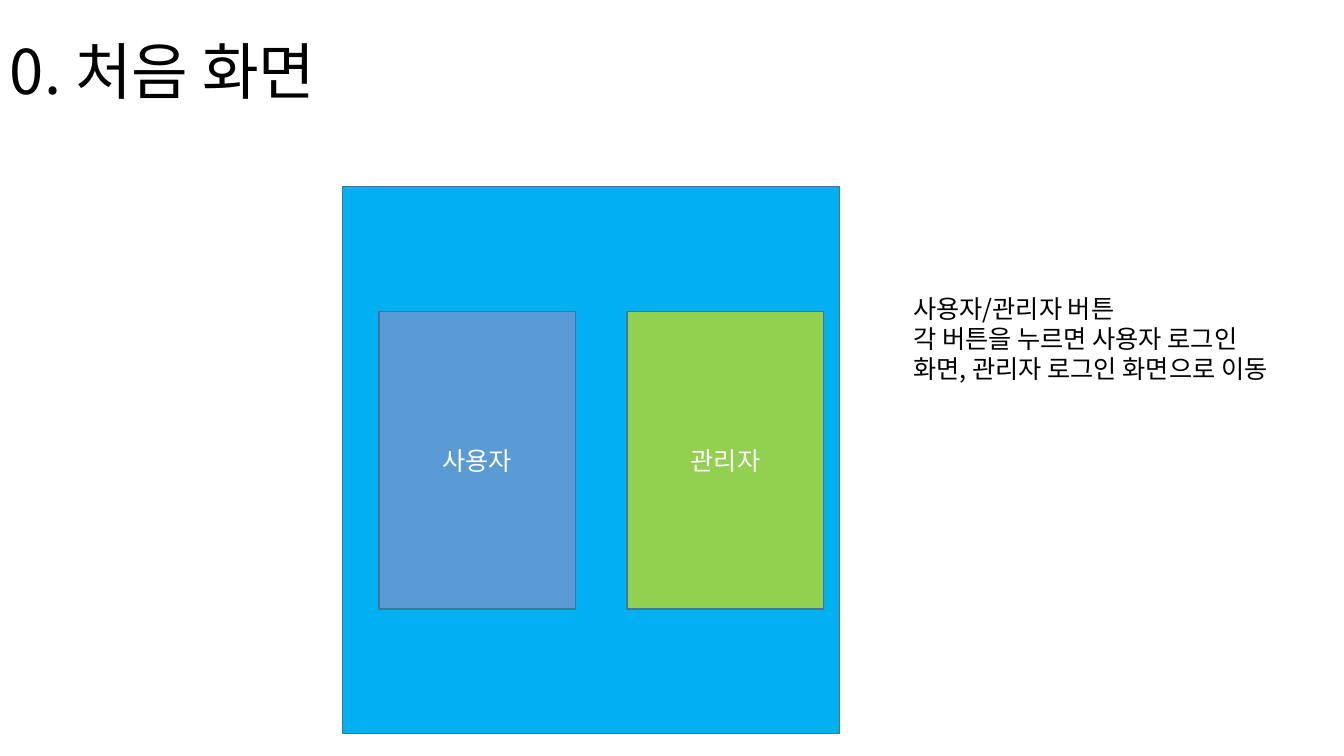
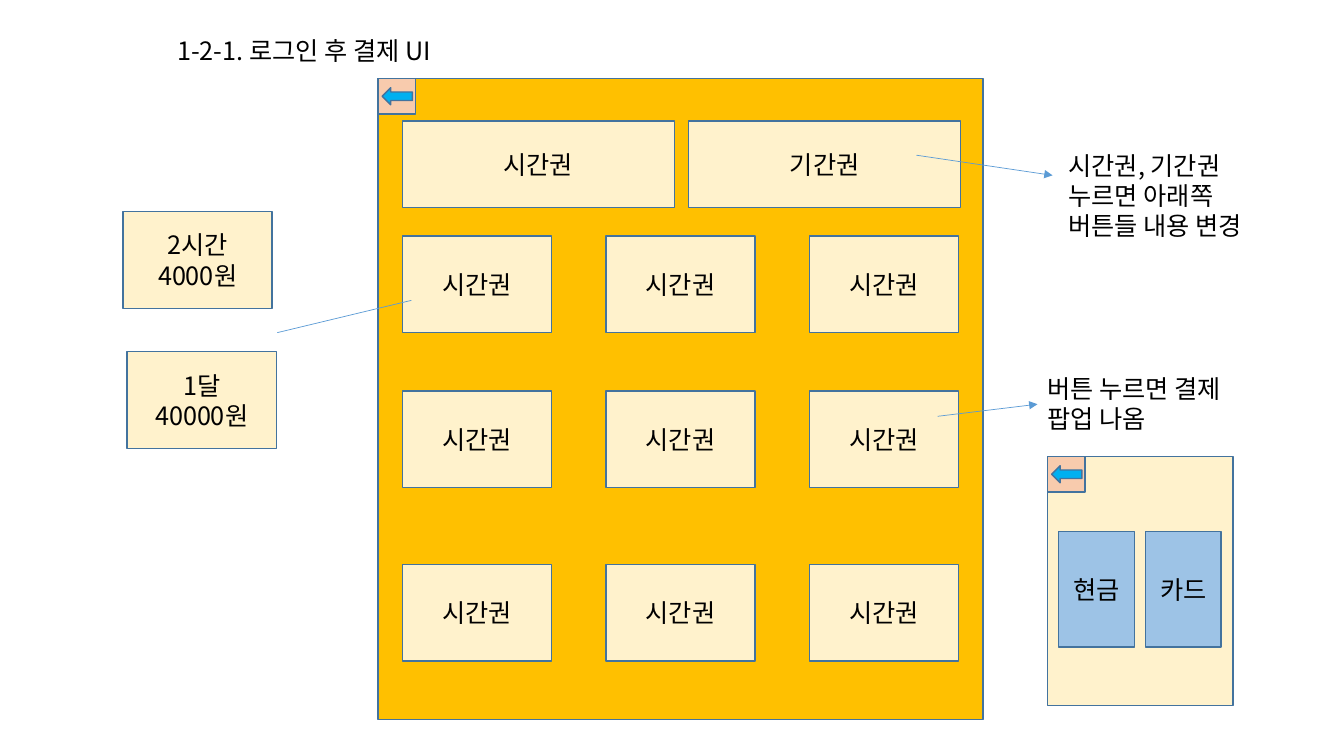
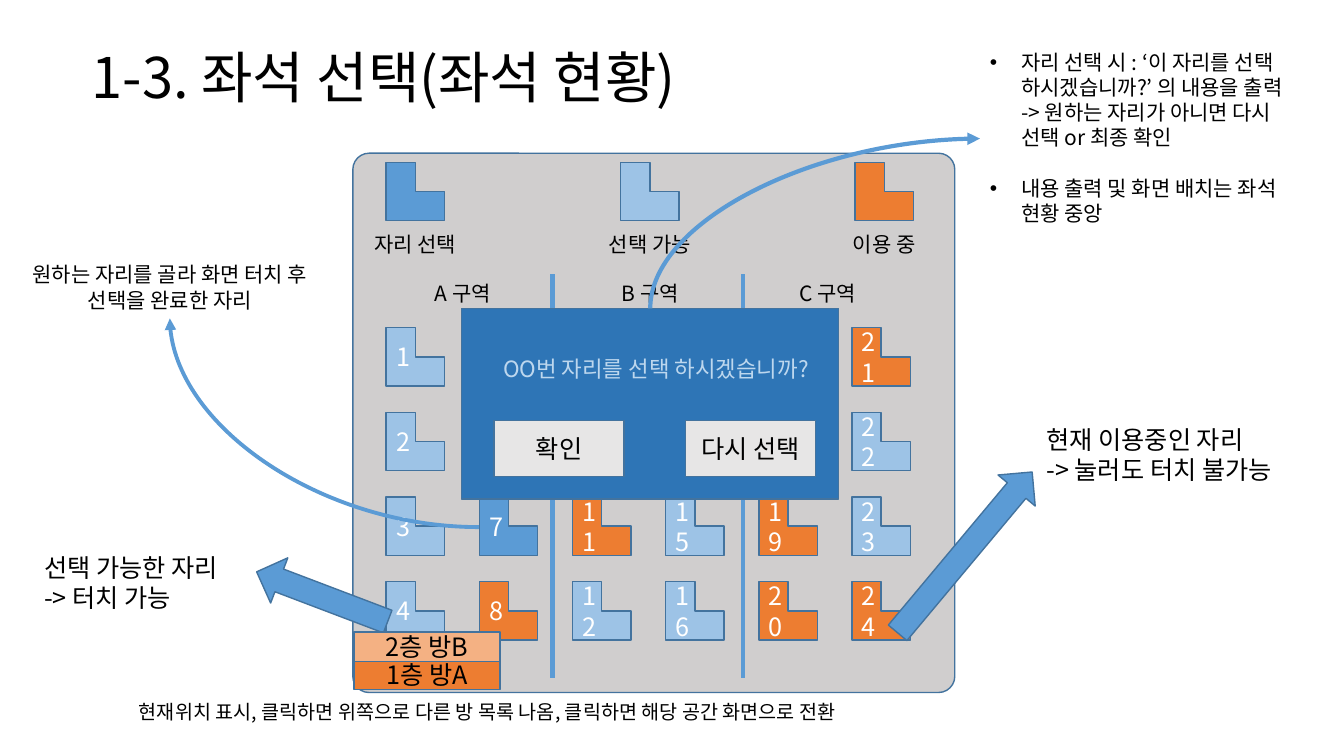
from lxml import etree
from pptx import Presentation
from pptx.dml.color import RGBColor
from pptx.enum.shapes import MSO_CONNECTOR, MSO_SHAPE
from pptx.enum.text import MSO_ANCHOR, PP_ALIGN
from pptx.oxml.ns import qn
from pptx.util import Inches, Pt

RECT, ROUNDED = MSO_SHAPE.RECTANGLE, MSO_SHAPE.ROUNDED_RECTANGLE
SEAT, LEFT_ARROW = MSO_SHAPE.CORNER, MSO_SHAPE.LEFT_ARROW
STRAIGHT, CURVE = MSO_CONNECTOR.STRAIGHT, MSO_CONNECTOR.CURVE
LEFT, CENTER = PP_ALIGN.LEFT, PP_ALIGN.CENTER
TOP, MIDDLE = MSO_ANCHOR.TOP, MSO_ANCHOR.MIDDLE
TOP_SITE, LEFT_SITE, BOTTOM_SITE = 0, 1, 2

FONT = "Noto Sans CJK KR"
BLACK = RGBColor(0x00, 0x00, 0x00)
WHITE = RGBColor(0xFF, 0xFF, 0xFF)
OUTLINE = RGBColor(0x43, 0x73, 0x9E)
BLUE = RGBColor(0x5B, 0x9B, 0xD5)
LIGHT_BLUE = RGBColor(0x9D, 0xC3, 0xE6)
PALE_BLUE = RGBColor(0xBD, 0xD7, 0xEE)
DEEP_BLUE = RGBColor(0x2E, 0x75, 0xB6)
SKY = RGBColor(0x00, 0xB0, 0xF0)
GREEN = RGBColor(0x92, 0xD0, 0x50)
AMBER = RGBColor(0xFF, 0xC0, 0x00)
CREAM = RGBColor(0xFF, 0xF2, 0xCC)
PEACH = RGBColor(0xF8, 0xCB, 0xAD)
ORANGE = RGBColor(0xED, 0x7D, 0x31)
LIGHT_ORANGE = RGBColor(0xF4, 0xB1, 0x83)
GRAY = RGBColor(0xD0, 0xCE, 0xCE)
LIGHT_GRAY = RGBColor(0xE7, 0xE6, 0xE6)

SEAT_SIZE = 0.58
SEAT_LEFT, SEAT_TOP = 3.83, 3.25
SEAT_COLUMN_STEP = (8.45 - SEAT_LEFT) / 5
SEAT_ROW_STEP = 0.84
SEATS_PER_COLUMN = 4
FREE_SEATS = (1, 2, 3, 4, 12, 15, 16, 22, 23)
CHOSEN_SEATS = (7,)
BUSY_SEATS = (8, 11, 19, 20, 21, 24)


def write(frame, text, size, color, align, anchor, spacing=None):
    """Fill a text frame, one paragraph per line of text."""
    frame.word_wrap = True
    frame.vertical_anchor = anchor
    for index, line in enumerate(text.split("\n")):
        paragraph = frame.add_paragraph() if index else frame.paragraphs[0]
        paragraph.text = line
        paragraph.alignment = align
        if spacing:
            paragraph.line_spacing = spacing
        font = paragraph.font
        font.size = Pt(size)
        font.color.rgb = color
        font.name = FONT
        latin = paragraph._p.pPr.find(qn("a:defRPr")).find(qn("a:latin"))
        east_asian = etree.Element(qn("a:ea"), typeface=FONT)
        latin.addnext(east_asian)


def add_text(slide, box, text, size=18, color=BLACK, align=LEFT, anchor=TOP,
             spacing=None):
    """Add a wrapping text box; box is left, top, width, height."""
    note = slide.shapes.add_textbox(*map(Inches, box))
    write(note.text_frame, text, size, color, align, anchor, spacing)
    return note


def add_title(slide, left, top, text, size):
    """Add the large slide title."""
    add_text(slide, (left, top, 11.5, 1.45), text, size, anchor=MIDDLE,
             spacing=0.9)


def add_label(slide, box, text):
    """Add a small centred caption."""
    add_text(slide, box, text, 15, align=CENTER, anchor=MIDDLE, spacing=0.9)


def add_block(slide, box, fill, text="", color=BLACK, kind=RECT, rotation=0):
    """Add an outlined, filled shape with optional centred text."""
    block = slide.shapes.add_shape(kind, *map(Inches, box))
    block.shadow.inherit = False
    block.fill.solid()
    block.fill.fore_color.rgb = fill
    block.line.color.rgb = OUTLINE
    block.line.width = Pt(1)
    block.rotation = rotation
    if text:
        write(block.text_frame, text, 18, color, CENTER, MIDDLE)
    return block


def add_line(slide, start, end, width, arrow=None, kind=STRAIGHT):
    """Add a blue line; arrow is headEnd, tailEnd or None."""
    line = slide.shapes.add_connector(kind, *map(Inches, start + end))
    line.line.color.rgb = BLUE
    line.line.width = Pt(width)
    properties = line._element.spPr
    if kind == CURVE:
        properties.find(qn("a:prstGeom")).set("prst", "curvedConnector2")
    if arrow:
        etree.SubElement(properties.find(qn("a:ln")), qn("a:" + arrow),
                         type="triangle")
    etree.SubElement(properties, qn("a:effectLst"))
    return line


def add_bullets(note):
    """Give each paragraph a hanging bullet and a gap between items."""
    for index, paragraph in enumerate(note.text_frame.paragraphs):
        if index:
            paragraph.space_before = Pt(18)
        properties = paragraph._p.get_or_add_pPr()
        properties.set("marL", str(Inches(0.31)))
        properties.set("indent", str(Inches(-0.31)))
        bullet_font = etree.Element(qn("a:buFont"), typeface="Arial")
        bullet = etree.Element(qn("a:buChar"), char="•")
        properties.find(qn("a:defRPr")).addprevious(bullet_font)
        bullet_font.addnext(bullet)


def add_back_button(slide, left, top):
    """Add the back button in a screen's top left corner."""
    add_block(slide, (left, top, 0.37, 0.35), PEACH)
    add_block(slide, (left + 0.04, top + 0.09, 0.3, 0.17), SKY,
              kind=LEFT_ARROW)


def add_seat(slide, number, fill):
    """Add a numbered seat; numbers run down each column."""
    column, row = divmod(number - 1, SEATS_PER_COLUMN)
    add_block(slide, (SEAT_LEFT + column * SEAT_COLUMN_STEP,
                      SEAT_TOP + row * SEAT_ROW_STEP, SEAT_SIZE, SEAT_SIZE),
              fill, str(number), WHITE, SEAT)


def build_start(slide):
    """First screen: user or administrator."""
    add_title(slide, 0, 0.01, "0. 처음 화면", 44)
    add_block(slide, (3.4, 1.85, 4.93, 5.43), SKY)
    for left, fill, role in ((3.76, BLUE, "사용자"), (6.22, GREEN, "관리자")):
        add_block(slide, (left, 3.09, 1.95, 2.95), fill, role, WHITE)
    add_text(slide, (8.96, 2.86, 3.72, 1.31),
             "사용자/관리자 버튼\n"
             "각 버튼을 누르면 사용자 로그인 화면, 관리자 로그인 화면으로 이동")


def build_payment(slide):
    """Payment screen: ticket buttons and the payment popup."""
    add_block(slide, (3.75, 0.78, 6, 6.36), AMBER)
    add_text(slide, (1.66, 0.3, 3.63, 0.4), "1-2-1. 로그인 후 결제 UI")
    for top in (2.34, 3.88, 5.6):
        for column in range(3):
            add_block(slide, (3.99 + 2.02 * column, top, 1.48, 0.96), CREAM,
                      "시간권")
    for left, ticket in ((3.99, "시간권"), (6.83, "기간권")):
        add_block(slide, (left, 1.2, 2.7, 0.86), CREAM, ticket)

    add_line(slide, (9.09, 1.54), (10.44, 1.74), 0.5, "tailEnd")
    add_text(slide, (10.5, 1.44, 1.96, 1.31),
             "시간권, 기간권 누르면 아래쪽 버튼들 내용 변경")
    add_line(slide, (9.3, 4.13), (10.29, 4.01), 0.5, "tailEnd")
    add_text(slide, (10.29, 3.65, 2.05, 0.71), "버튼 누르면 결제 팝업 나옴")

    add_block(slide, (10.39, 4.53, 1.84, 2.47), CREAM)
    for left, method in ((10.5, "현금"), (11.36, "카드")):
        add_block(slide, (left, 5.27, 0.75, 1.15), LIGHT_BLUE, method)

    add_line(slide, (4.08, 2.98), (2.75, 3.3), 0.5)
    for left, top, price in ((1.22, 2.1, "2시간\n4000원"),
                             (1.26, 3.49, "1달\n40000원")):
        add_block(slide, (left, top, 1.48, 0.96), CREAM, price)
    add_back_button(slide, 3.75, 0.78)
    add_back_button(slide, 10.39, 4.53)


def add_seat_map(slide):
    """Add the seat panel with its legend, zones and seats."""
    panel = add_block(slide, (3.5, 1.52, 5.97, 5.35), GRAY, kind=ROUNDED)
    panel.adjustments[0] = 0.03
    legend = (("자리 선택", BLUE), ("선택 가능", LIGHT_BLUE), ("이용 중", ORANGE))
    for index, (state, fill) in enumerate(legend):
        left = SEAT_LEFT + index * (8.48 - SEAT_LEFT) / 2
        add_block(slide, (left, 1.61, SEAT_SIZE, SEAT_SIZE), fill, kind=SEAT)
        add_label(slide, (left - 0.46, 2.23, 1.5, 0.41), state)
    for seats, fill in ((FREE_SEATS, LIGHT_BLUE), (CHOSEN_SEATS, BLUE),
                        (BUSY_SEATS, ORANGE)):
        for number in seats:
            add_seat(slide, number, fill)
    for left, zone in ((4.07, "A"), (5.93, "B"), (7.69, "C")):
        add_label(slide, (left, 2.72, 1.04, 0.41), f"{zone} 구역")
    for divider in (5.48, 7.37):
        add_line(slide, (divider, 2.72), (divider, 6.73), 3)


def add_confirm_popup(slide):
    """Add the seat confirmation popup and return its panel."""
    popup = add_block(slide, (4.58, 3.06, 3.74, 1.89), DEEP_BLUE)
    add_text(slide, (4.67, 3.47, 3.67, 0.37), "OO번 자리를 선택 하시겠습니까?",
             16, PALE_BLUE, CENTER)
    for left, answer in ((4.9, "확인"), (6.8, "다시 선택")):
        add_block(slide, (left, 4.17, 1.29, 0.56), LIGHT_GRAY, answer)
    return popup


def build_seats(slide):
    """Seat selection screen with its explanations."""
    add_title(slide, 0.81, 0.07, "1-3. 좌석 선택(좌석 현황)", 40)
    add_seat_map(slide)

    add_block(slide, (2.5, 5.68, 1.39, 0.48), BLUE, kind=LEFT_ARROW,
              rotation=20.8)
    add_text(slide, (0.34, 5.43, 2.16, 0.71), "선택 가능한 자리\n-> 터치 가능")
    add_block(slide, (8.53, 5.24, 2.08, 0.48), BLUE, kind=LEFT_ARROW,
              rotation=129.9)
    add_text(slide, (10.28, 4.16, 2.79, 0.71),
             "현재 이용중인 자리\n-> 눌러도 터치 불가능")

    chosen_note = add_text(slide, (0, 2.55, 3.37, 0.61),
                           "원하는 자리를 골라 화면 터치 후 선택을 완료한 자리",
                           15, align=CENTER)
    chosen_curve = add_line(slide, (4.75, 5.23), (1.68, 3.15), 2.75,
                            "tailEnd", CURVE)
    chosen_curve.end_connect(chosen_note, BOTTOM_SITE)

    popup_note = add_text(
        slide, (9.72, 0.44, 3.23, 1.87),
        "자리 선택 시 : ‘이 자리를 선택 하시겠습니까?’ 의 내용을 출력 "
        "-> 원하는 자리가 아니면 다시 선택 or 최종 확인\n"
        "내용 출력 및 화면 배치는 좌석 현황 중앙", 15)
    add_bullets(popup_note)
    popup = add_confirm_popup(slide)
    popup_curve = add_line(slide, (9.72, 1.38), (6.45, 3.06), 3, "headEnd",
                           CURVE)
    popup_curve.begin_connect(popup_note, LEFT_SITE)
    popup_curve.end_connect(popup, TOP_SITE)

    for top, fill, room in ((6.55, ORANGE, "1층 방A"),
                            (6.27, LIGHT_ORANGE, "2층 방B")):
        add_block(slide, (3.51, top, 1.45, 0.29), fill, room)
    add_text(slide, (1.28, 6.89, 8.1, 0.34),
             "현재위치 표시, 클릭하면 위쪽으로 다른 방 목록 나옴, "
             "클릭하면 해당 공간 화면으로 전환", 14)


def main():
    """Build and save the presentation."""
    deck = Presentation()
    deck.slide_width, deck.slide_height = Inches(13.33), Inches(7.5)
    blank = deck.slide_layouts[6]
    for build in (build_start, build_payment, build_seats):
        build(deck.slides.add_slide(blank))
    deck.save("out.pptx")


main()
